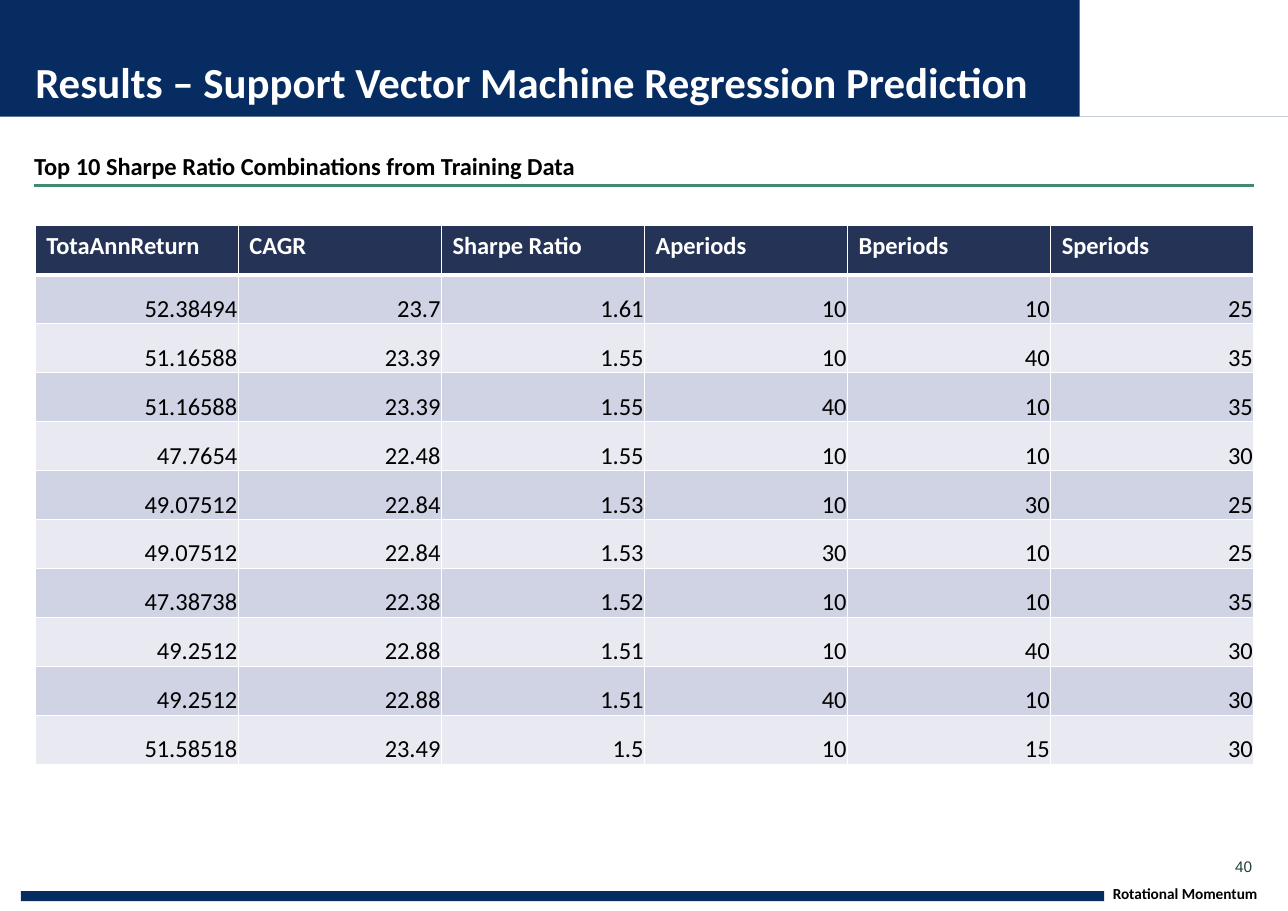
"""Build the slide of support vector machine regression results."""
import lxml.etree
import pptx
import pptx.dml.color
import pptx.enum.shapes
import pptx.enum.text
import pptx.oxml.ns
import pptx.util

RGBColor = pptx.dml.color.RGBColor
Anchor = pptx.enum.text.MSO_ANCHOR
Align = pptx.enum.text.PP_ALIGN

NAVY = RGBColor(0x07, 0x2C, 0x62)
HEADING = RGBColor(0x25, 0x33, 0x56)
BANDS = (RGBColor(0xD0, 0xD3, 0xE3), RGBColor(0xE9, 0xEA, 0xF1))
WHITE = RGBColor(0xFF, 0xFF, 0xFF)
BLACK = RGBColor(0, 0, 0)
GREEN = RGBColor(0x40, 0x8B, 0x70)
DARK_GREEN = RGBColor(0x23, 0x40, 0x35)

SLIDE_SIZE = (11.69, 8.27)
HEADERS = ("TotaAnnReturn", "CAGR", "Sharpe Ratio", "Aperiods", "Bperiods", "Speriods")
RESULTS = [
    ("52.38494", "23.7", "1.61", "10", "10", "25"),
    ("51.16588", "23.39", "1.55", "10", "40", "35"),
    ("51.16588", "23.39", "1.55", "40", "10", "35"),
    ("47.7654", "22.48", "1.55", "10", "10", "30"),
    ("49.07512", "22.84", "1.53", "10", "30", "25"),
    ("49.07512", "22.84", "1.53", "30", "10", "25"),
    ("47.38738", "22.38", "1.52", "10", "10", "35"),
    ("49.2512", "22.88", "1.51", "10", "40", "30"),
    ("49.2512", "22.88", "1.51", "40", "10", "30"),
    ("51.58518", "23.49", "1.5", "10", "15", "30"),
]

# Areas are percentages of the slide: left, top, width, height.
BARS = [
    ((0, 0, 100, 12.82), NAVY),
    ((83.83, 0, 16.17, 12.82), WHITE),
    ((1.63, 97.82, 84.09, 1.09), NAVY),
]
SUBTITLE_AREA = (2.65, 16.44, 94.7, 3.75)
TABLE_AREA = (2.74, 24.79, 94.61, 59.13)
SUBTITLE = "Top 10 Sharpe Ratio Combinations from Training Data"
LABELS = [
    ("Rotational Momentum", (86.4, 96.98, 13.6, 2.06), Anchor.BOTTOM, True,
     {"size": 10, "name": "Calibri", "color": BLACK, "bold": True}),
    ("Results – Support Vector Machine Regression Prediction",
     (2.74, 6.05, 81.18, 5.68), Anchor.BOTTOM, True,
     {"size": 28, "name": "Calibri", "color": WHITE, "bold": True}),
    ("40", (95.89, 94.07, 1.45, 2.06), Anchor.MIDDLE, False,
     {"size": 10, "name": "Arial", "color": DARK_GREEN, "bold": False}),
]
SUBTITLE_FONT = {"size": 16, "name": "Calibri", "color": BLACK, "bold": True}
HEADER_FONT = {**SUBTITLE_FONT, "color": WHITE}
RESULT_FONT = {**SUBTITLE_FONT, "bold": False}


def place(area):
    return [pptx.util.Inches(share * SLIDE_SIZE[i % 2] / 100) for i, share in enumerate(area)]


def set_format(target, values):
    for name, value in values.items():
        setattr(target, name, value)


def write(frame, text, font):
    paragraph = frame.paragraphs[0]
    run = paragraph.add_run()
    run.text = text
    run.font.color.rgb = font["color"]
    set_format(run.font, {"size": pptx.util.Pt(font["size"]),
                          "name": font["name"], "bold": font["bold"]})
    return paragraph


def add_child(parent, tag, **attributes):
    child = lxml.etree.SubElement(parent, pptx.oxml.ns.qn(tag))
    for name, value in attributes.items():
        child.set(name, str(value))
    return child


def insets(left=0, top=0, right=0, bottom=0):
    sides = {"left": left, "top": top, "right": right, "bottom": bottom}
    return {f"margin_{side}": pptx.util.Inches(size) for side, size in sides.items()}


def add_bar(slide, area, color):
    bar = slide.shapes.add_shape(pptx.enum.shapes.MSO_SHAPE.RECTANGLE, *place(area))
    bar.shadow.inherit = False
    bar.fill.solid()
    bar.fill.fore_color.rgb = color
    bar.line.fill.background()
    return bar


def add_label(slide, text, area, anchor, wraps, font):
    frame = slide.shapes.add_textbox(*place(area)).text_frame
    set_format(frame, {"word_wrap": wraps, "vertical_anchor": anchor, **insets()})
    write(frame, text, font)


def add_subtitle(slide):
    subtitle = add_bar(slide, SUBTITLE_AREA, WHITE)
    effects = subtitle._element.spPr.find(pptx.oxml.ns.qn("a:effectLst"))
    underline = add_child(effects, "a:outerShdw", blurRad=0, dist=pptx.util.Pt(2),
                          dir=90 * 60000, algn="ctr", rotWithShape=0)
    add_child(underline, "a:srgbClr", val=GREEN)
    set_format(subtitle.text_frame, {"word_wrap": True, "vertical_anchor": Anchor.BOTTOM,
                                     **insets(bottom=0.03)})
    paragraph = write(subtitle.text_frame, SUBTITLE, SUBTITLE_FONT)
    set_format(paragraph, {"alignment": Align.LEFT, "line_spacing": 1.1})


def style_cell(cell, color, widths):
    properties = cell._tc.get_or_add_tcPr()
    for side, width in widths.items():
        border = add_child(properties, f"a:ln{side}", w=pptx.util.Pt(width))
        add_child(add_child(border, "a:solidFill"), "a:srgbClr", val=WHITE)
    cell.fill.solid()
    cell.fill.fore_color.rgb = color


def add_results(slide):
    rows = [HEADERS, *RESULTS]
    left, top, width, height = place(TABLE_AREA)
    table = slide.shapes.add_table(len(rows), len(HEADERS), left, top, width, height).table
    for column in table.columns:
        column.width = width // len(HEADERS)
    for r, values in enumerate(rows):
        table.rows[r].height = height // len(rows)
        for c, value in enumerate(values):
            cell = table.cell(r, c)
            widths = {"L": 1, "R": 1, "T": 3 if r == 1 else 1, "B": 3 if r == 0 else 1}
            style_cell(cell, BANDS[(r - 1) % 2] if r else HEADING, widths)
            paragraph = write(cell.text_frame, value, RESULT_FONT if r else HEADER_FONT)
            if r:
                paragraph.alignment = Align.RIGHT
                set_format(cell, {"vertical_anchor": Anchor.BOTTOM,
                                  **insets(0.01, 0.01, 0.01)})


def main():
    deck = pptx.Presentation()
    deck.slide_width, deck.slide_height = map(pptx.util.Inches, SLIDE_SIZE)
    slide = deck.slides.add_slide(deck.slide_layouts[6])
    for area, color in BARS:
        add_bar(slide, area, color)
    for label in LABELS:
        add_label(slide, *label)
    add_results(slide)
    add_subtitle(slide)
    deck.save("out.pptx")


if __name__ == "__main__":
    main()
